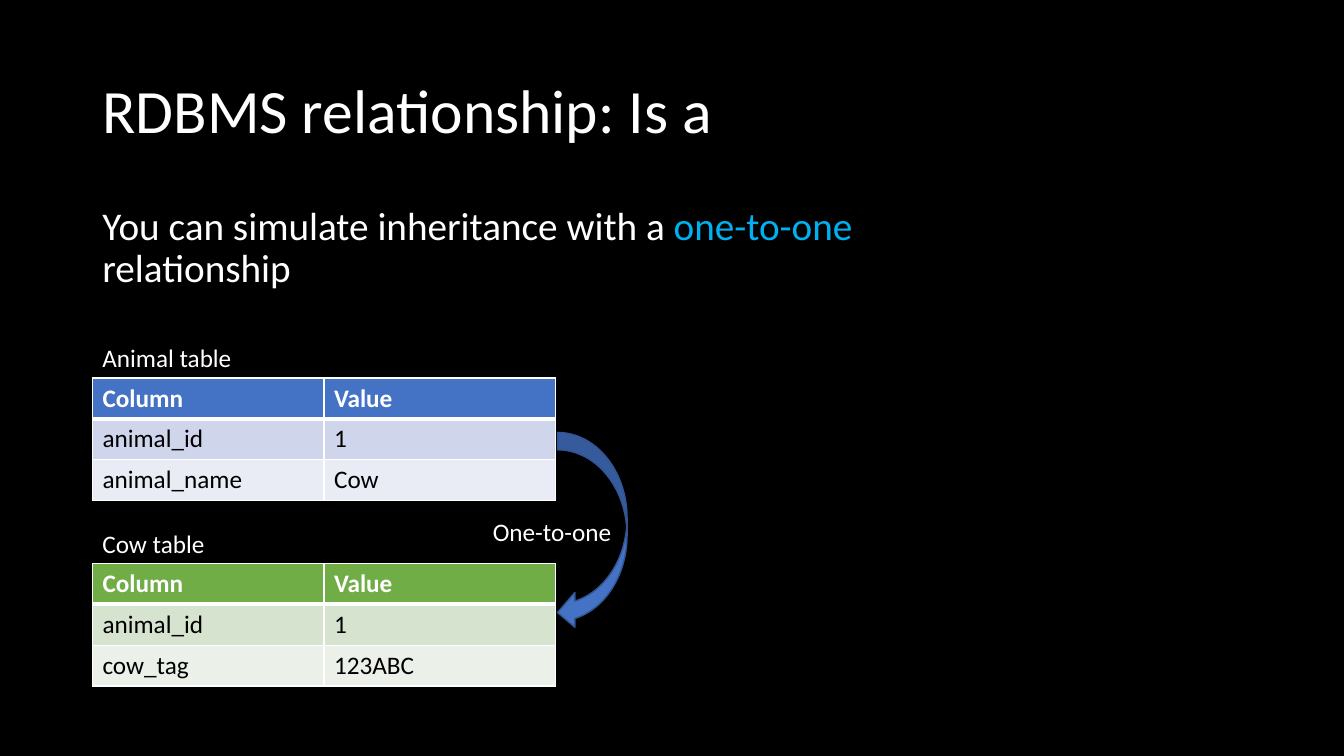
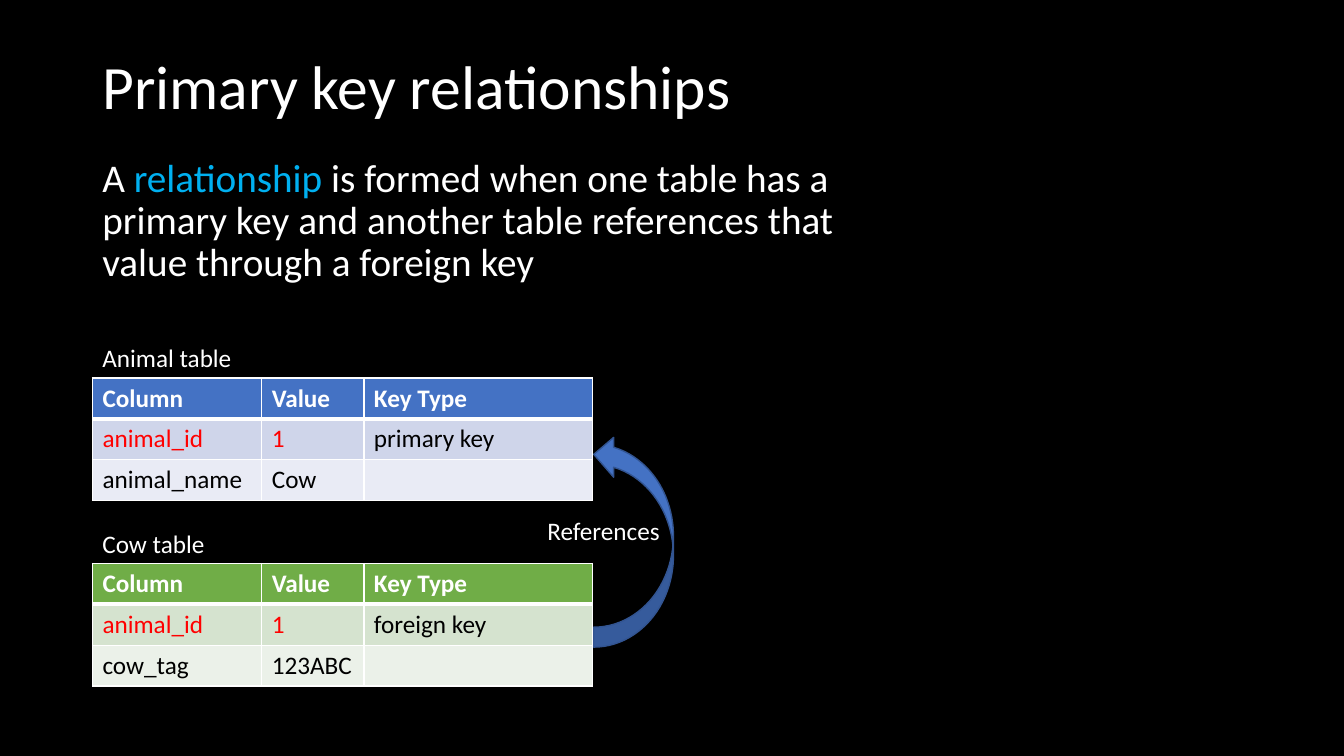
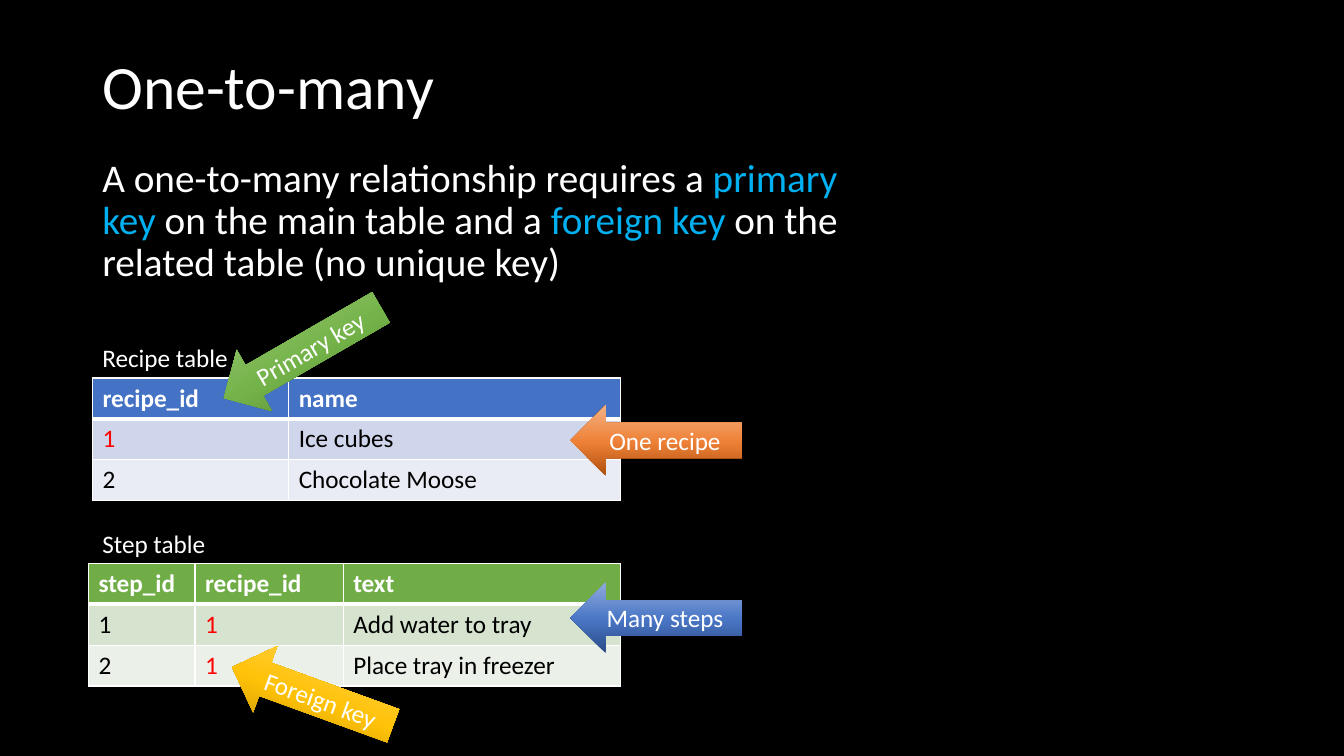
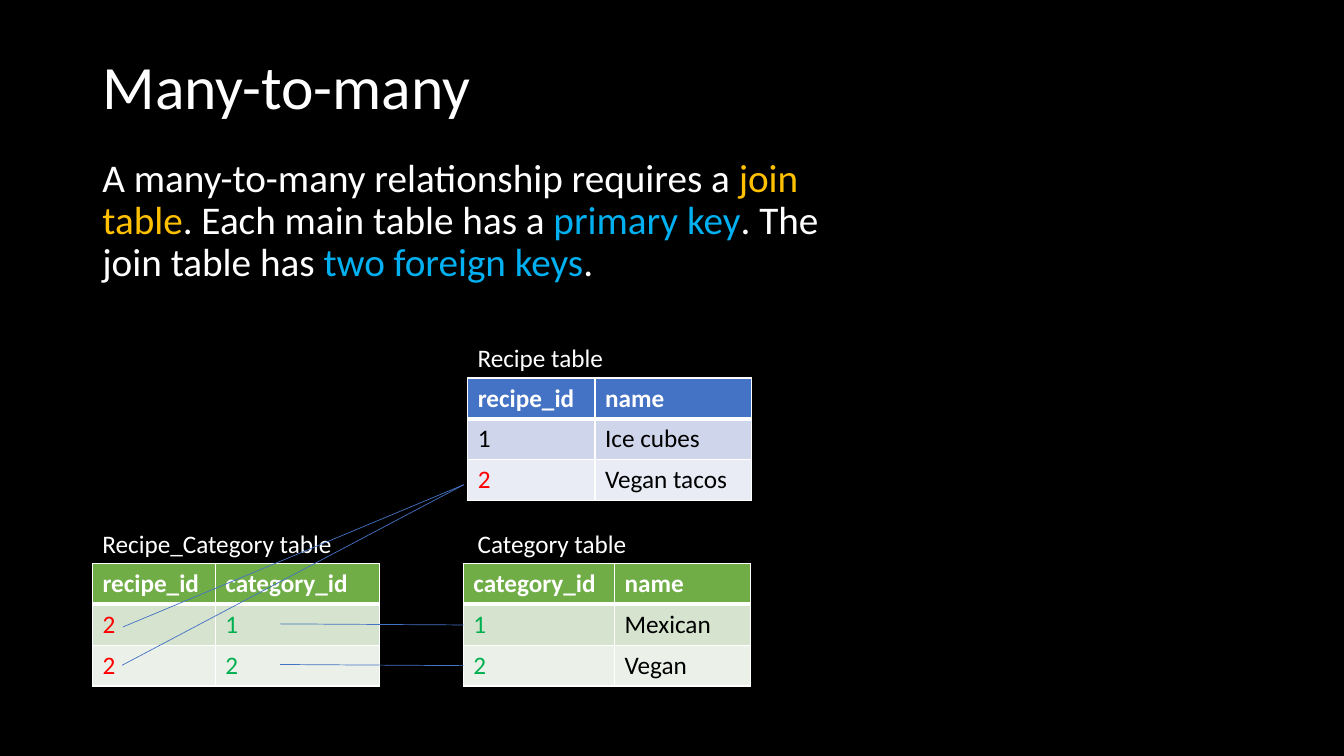
from copy import deepcopy
from pptx import Presentation
from pptx.dml.color import RGBColor
from pptx.enum.shapes import MSO_CONNECTOR as LINE, MSO_SHAPE as SHAPE
from pptx.enum.text import MSO_ANCHOR as ANCHOR, PP_ALIGN as ALIGN
from pptx.oxml.ns import qn
from pptx.oxml.xmlchemy import OxmlElement as Element
from pptx.util import Inches, Pt

WIDTH, HEIGHT = Inches(13.333), Inches(7.5)
FONT = "Calibri"
COLORS = {
    "black": "000000", "white": "FFFFFF", "sky": "00B0F0", "amber": "FFC000",
    "red": "FF0000", "green": "00B050", "blue": "4472C4", "outline": "325491",
}
TABLE_FILLS = {
    "blue": ("4472C4", "CFD5EA", "E9EBF5"),
    "green": ("70AD47", "D5E3CF", "EBF1E9"),
}
GRADIENTS = {
    "orange": ("B0500F", "EE8137", "F4B183"),
    "blue": ("2A4B86", "4A76C6", "8FAADC"),
    "green": ("4B7430", "74B349", "A9D18E"),
    "gold": ("AB8100", "FFC208", "FFD966"),
}
STOPS = (0, 0.48, 1)

LEFT, RIGHT_TABLE = 6.88, 34.8
UPPER, LOWER = 50, 74.53
ROW, LABEL = 5.41, 5.33


def x(share):
    return round(WIDTH * share / 100)


def y(share):
    return round(HEIGHT * share / 100)


def box(left, top, width, height):
    return x(left), y(top), x(width), y(height)


def rgb(value):
    return RGBColor.from_string(COLORS.get(value, value))


def write(tf, parts, size=18, color="white", bold=False, align=None):
    p = tf.paragraphs[0]
    p.alignment = align
    for part in [parts] if isinstance(parts, (str, tuple)) else parts:
        text, tint = (part, color) if isinstance(part, str) else part
        r = p.add_run()
        r.text = text
        r.font.name, r.font.size, r.font.bold = FONT, Pt(size), bold
        r.font.color.rgb = rgb(tint)
    return p


def add_text(s, area, parts, size=18, align=None, anchor=ANCHOR.TOP):
    tf = s.shapes.add_textbox(*box(*area)).text_frame
    tf.word_wrap = True
    tf.vertical_anchor = anchor
    return write(tf, parts, size, align=align)


def add_slide(prs, title, body, title_height=12.93, body_top=20.27, body_height=19.33):
    s = prs.slides.add_slide(prs.slide_layouts[6])
    s.background.fill.solid()
    s.background.fill.fore_color.rgb = rgb("black")
    heading = add_text(s, (LEFT, 5.33, 86.25, title_height), title, 44, anchor=ANCHOR.MIDDLE)
    lead = add_text(s, (LEFT, body_top, 58.28, body_height), body, 28)
    heading.line_spacing = lead.line_spacing = 0.9
    return s


def set_borders(cell, **widths):
    tc_pr = cell._tc.get_or_add_tcPr()
    for index, side in enumerate("LRTB"):
        ln = Element(f"a:ln{side}")
        ln.set("w", str(Pt(widths.get(side, 1))))
        fill = Element("a:solidFill")
        tint = Element("a:srgbClr")
        tint.set("val", COLORS["white"])
        fill.append(tint)
        ln.append(fill)
        tc_pr.insert(index, ln)


def add_table(s, left, top, widths, rows, theme):
    area = box(left, top, sum(widths), ROW * len(rows))
    table = s.shapes.add_table(len(rows), len(widths), *area).table
    table.horz_banding = False
    for column, width in zip(table.columns, widths):
        column.width = x(width)
    for i, row in enumerate(rows):
        table.rows[i].height = y(ROW)
        for j, value in enumerate(row):
            cell = table.cell(i, j)
            cell.fill.solid()
            cell.fill.fore_color.rgb = rgb(TABLE_FILLS[theme][i])
            set_borders(cell, T=3 if i == 1 else 1, B=3 if i == 0 else 1)
            if value:
                write(cell.text_frame, value, color="black" if i else "white", bold=i == 0)


def add_labelled_table(s, label, top, widths, rows, theme, left=LEFT, label_left=LEFT,
                       label_width=11.55):
    add_table(s, left, top, widths, rows, theme)
    add_text(s, (label_left, top - LABEL, label_width, LABEL), label)


def add_curved_arrow(s, area, upward=False):
    sp = s.shapes.add_shape(SHAPE.CURVED_LEFT_ARROW, *box(*area))
    sp.shadow.inherit = False
    sp.fill.solid()
    sp.fill.fore_color.rgb = rgb("blue")
    sp.line.color.rgb = rgb("outline")
    sp.line.width = Pt(1)
    if upward:
        sp._element.spPr.xfrm.set("flipV", "1")


def add_callout(s, text, left, top, width, theme, rotation=0):
    sp = s.shapes.add_shape(SHAPE.LEFT_ARROW, *box(left, top, width, 9.33))
    sp.shadow.inherit = False
    sp.rotation = rotation
    sp.line.fill.background()
    sp.fill.gradient()
    sp.fill.gradient_angle = 90
    stops = sp._element.spPr.find(".//" + qn("a:gsLst"))
    stops.insert(1, deepcopy(stops[0]))
    for stop, position, tint in zip(sp.fill.gradient_stops, STOPS, GRADIENTS[theme]):
        stop.position = position
        stop.color.rgb = rgb(tint)
    sp.text_frame.vertical_anchor = ANCHOR.MIDDLE
    write(sp.text_frame, text, align=ALIGN.CENTER)


def add_link(s, x1, y1, x2, y2):
    link = s.shapes.add_connector(LINE.STRAIGHT, x(x1), y(y1), x(x2), y(y2))
    link.line.color.rgb = rgb("blue")
    link.line.width = Pt(0.5)
    link._element.spPr.append(Element("a:effectLst"))


def inheritance_slide(prs):
    s = add_slide(prs, "RDBMS relationship: Is a",
                  ["You can simulate inheritance with a ", ("one-to-one", "sky"),
                   " relationship"],
                  title_height=19.33, body_top=26.67, body_height=15.07)
    widths = [17.23] * 2
    head, key = ["Column", "Value"], ["animal_id", "1"]
    add_labelled_table(s, "Animal table", UPPER, widths,
                       [head, key, ["animal_name", "Cow"]], "blue")
    add_labelled_table(s, "Cow table", LOWER, widths,
                       [head, key, ["cow_tag", "123ABC"]], "green")
    add_curved_arrow(s, (41.48, 57.2, 5.18, 26.13))
    add_text(s, (35.93, 67.6, 10.65, LABEL), "One-to-one")


def primary_key_slide(prs):
    s = add_slide(prs, "Primary key relationships",
                  ["A ", ("relationship", "sky"),
                   " is formed when one table has a primary key and another table "
                   "references that value through a foreign key"])
    widths = [12.6, 7.6, 16.98]
    head = ["Column", "Value", "Key Type"]
    key = [("animal_id", "red"), ("1", "red")]
    add_labelled_table(s, "Animal table", UPPER, widths,
                       [head, key + ["primary key"], ["animal_name", "Cow", ""]], "blue")
    add_labelled_table(s, "Cow table", LOWER, widths,
                       [head, key + ["foreign key"], ["cow_tag", "123ABC", ""]], "green")
    add_curved_arrow(s, (44.18, 57.47, 5.93, 28.13), upward=True)
    add_text(s, (38.28, 67.53, 11.55, LABEL), "References", align=ALIGN.RIGHT)


def one_to_many_slide(prs):
    s = add_slide(prs, "One-to-many",
                  ["A one-to-many relationship requires a ", ("primary key ", "sky"),
                   "on the main table and a ", ("foreign key ", "sky"),
                   "on the related table (no unique key)"])
    key = ("1", "red")
    add_labelled_table(s, "Recipe table", UPPER, [14.6, 24.7],
                       [["recipe_id", "name"], [key, "Ice cubes"],
                        ["2", "Chocolate Moose"]], "blue")
    add_labelled_table(s, "Step table", LOWER, [7.93, 11.03, 20.63],
                       [["step_id", "recipe_id", "text"], ["1", key, "Add water to tray"],
                        ["2", key, "Place tray in freezer"]], "green", left=6.58)
    add_callout(s, "One recipe", 42.45, 53.6, 12.75, "orange")
    add_callout(s, "Many steps", 42.45, 77.07, 12.75, "blue")
    add_callout(s, "Primary key", 15.75, 42, 13.5, "green", -30)
    add_callout(s, "Foreign key", 16.88, 87.47, 12.75, "gold", 20)


def many_to_many_slide(prs):
    s = add_slide(prs, "Many-to-many",
                  ["A many-to-many relationship requires a ", ("join table", "amber"),
                   ". Each main table has a ", ("primary key", "sky"),
                   ". The join table has ", ("two foreign keys", "sky"), "."])
    recipe = ("2", "red")
    mexican, vegan = ("1", "green"), ("2", "green")
    add_labelled_table(s, "Recipe table", UPPER, [9.48, 11.65],
                       [["recipe_id", "name"], ["1", "Ice cubes"],
                        [recipe, "Vegan tacos"]], "blue",
                       left=RIGHT_TABLE, label_left=RIGHT_TABLE)
    add_labelled_table(s, "Category table", LOWER, [11.25, 10.13],
                       [["category_id", "name"], [mexican, "Mexican"],
                        [vegan, "Vegan"]], "green",
                       left=34.48, label_left=RIGHT_TABLE, label_width=13.13)
    add_labelled_table(s, "Recipe_Category table", LOWER, [9.15, 12.2],
                       [["recipe_id", "category_id"], [recipe, mexican],
                        [recipe, vegan]], "green", label_width=21.15)
    for x1, y1, y2 in [(20.85, 82.53, 82.67), (20.85, 87.9, 88.05),
                       (9.15, 82.93, 64.13), (9.08, 88, 64.13)]:
        add_link(s, x1, y1, 34.5, y2)


def main():
    prs = Presentation()
    prs.slide_width, prs.slide_height = WIDTH, HEIGHT
    inheritance_slide(prs)
    primary_key_slide(prs)
    one_to_many_slide(prs)
    many_to_many_slide(prs)
    prs.save("out.pptx")


if __name__ == "__main__":
    main()
